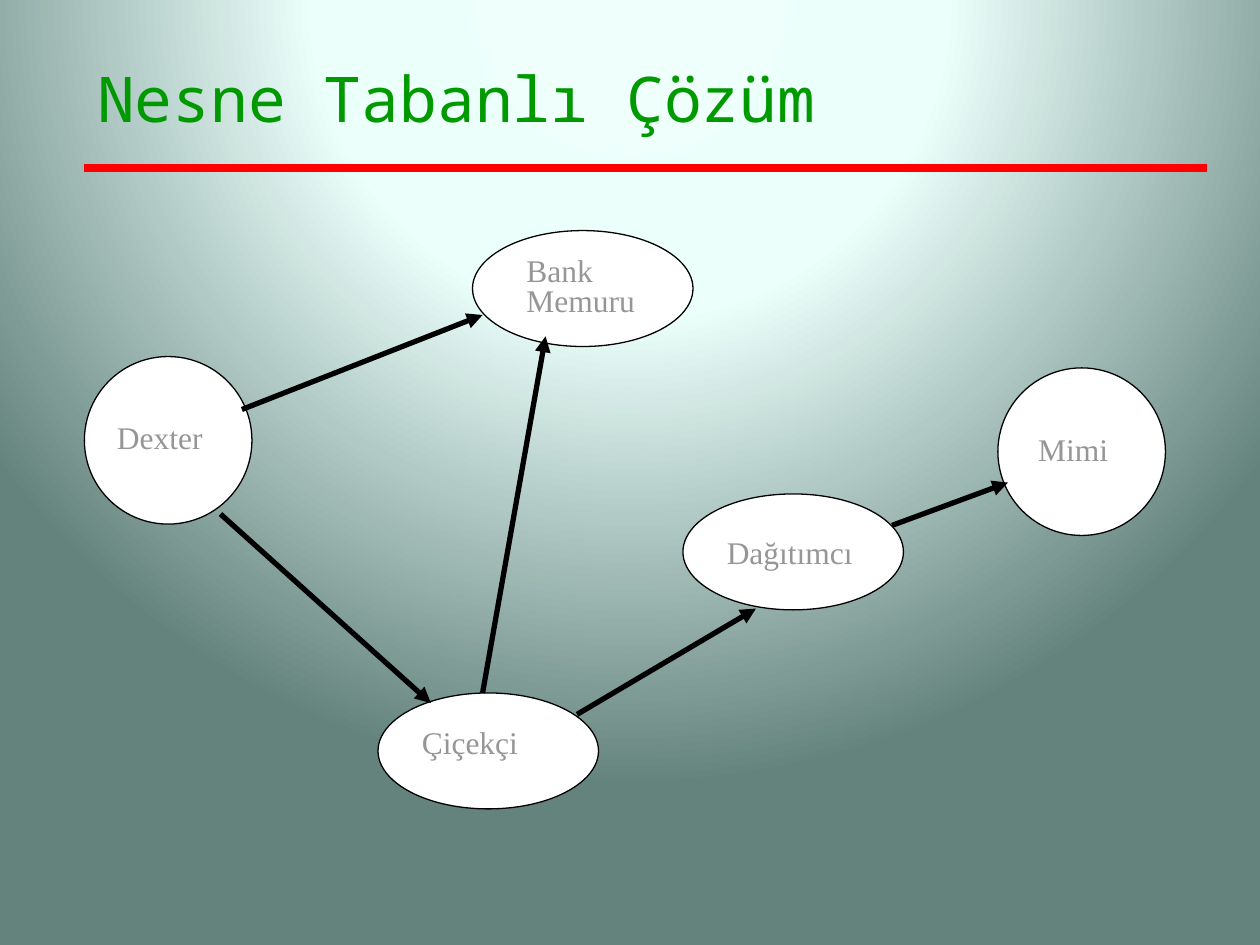
from pptx import Presentation
from pptx.dml.color import RGBColor
from pptx.enum.shapes import MSO_CONNECTOR, MSO_SHAPE
from pptx.enum.text import MSO_ANCHOR, PP_ALIGN
from pptx.oxml import parse_xml
from pptx.oxml.ns import nsdecls, qn
from pptx.util import Inches, Pt

BLACK = RGBColor(0x00, 0x00, 0x00)
WHITE = RGBColor(0xFF, 0xFF, 0xFF)
RED = RGBColor(0xFF, 0x00, 0x00)
GREEN = RGBColor(0x00, 0x99, 0x00)
GREY = RGBColor(0x96, 0x96, 0x96)
PALE = RGBColor(0xEF, 0xFF, 0xFC)
MINT = RGBColor(0xEB, 0xFF, 0xFB)
TEAL = RGBColor(0x65, 0x83, 0x7D)

ROUND = (1.33, 1.33)
OVAL = (1.75, 0.92)
NODES = [
    ("Dexter", (0.67, 2.83), ROUND, (0.83, 3.33, 1.17, 0.34), 0.1),
    ("Mimi", (7.92, 2.92), ROUND, (8.08, 3.42, 1.17, 0.34), 0.16),
    ("Bank Memuru", (3.75, 1.83), OVAL, (4.08, 2, 1.17, 0.59), 0.1),
    ("Çiçekçi", (3, 5.5), OVAL, (3.25, 5.75, 1.17, 0.34), 0.1),
    ("Dağıtımcı", (5.42, 3.92), OVAL, (5.67, 4.24, 1.5, 0.34), 0.1),
]
ARROWS = [
    ((1.92, 3.25), (3.83, 2.5)),
    ((1.75, 4.08), (3.42, 5.58)),
    ((3.83, 5.5), (4.33, 2.67)),
    ((4.58, 5.67), (6, 4.83)),
    ((7.08, 4.17), (8, 3.83)),
]


def inches(*values):
    return [Inches(value) for value in values]


def style(font, name, size, color):
    font.name = name
    font.size = Pt(size)
    font.color.rgb = color


def paint_back(slide):
    slide.background.fill.gradient()
    grad = slide.element.find(".//" + qn("a:gradFill"))
    for child in list(grad):
        grad.remove(child)
    stops = "".join(
        f'<a:gs pos="{spot * 1000}"><a:srgbClr val="{color}"/></a:gs>'
        for spot, color in [(0, PALE), (40, MINT), (100, TEAL)]
    )
    grad.append(parse_xml(f"<a:gsLst {nsdecls('a')}>{stops}</a:gsLst>"))
    grad.append(parse_xml(
        f'<a:path {nsdecls("a")} path="circle"><a:fillToRect '
        'l="50000" t="-80000" r="50000" b="180000"/></a:path>'
    ))


def set_title(slide, text):
    title = slide.shapes.title
    title.left, title.top, title.width, title.height = inches(0.67, 0.42, 8.92, 1.25)
    frame = title.text_frame
    frame.text = text
    frame.vertical_anchor = MSO_ANCHOR.TOP
    para = frame.paragraphs[0]
    para.alignment = PP_ALIGN.LEFT
    style(para.runs[0].font, "Noto Sans Mono", 36, GREEN)


def add_line(slide, start, end, color, width, arrow=False):
    line = slide.shapes.add_connector(
        MSO_CONNECTOR.STRAIGHT, *inches(*start, *end))
    line.line.color.rgb = color
    line.line.width = Pt(width)
    if arrow:
        line.line._get_or_add_ln().append(
            parse_xml(f'<a:tailEnd {nsdecls("a")} type="triangle"/>'))
    line.element.spPr.append(parse_xml(f"<a:effectLst {nsdecls('a')}/>"))


def add_node(slide, text, place, size, area, inset):
    node = slide.shapes.add_shape(MSO_SHAPE.OVAL, *inches(*place, *size))
    node.shadow.inherit = False
    node.fill.solid()
    node.fill.fore_color.rgb = WHITE
    node.line.color.rgb = BLACK
    node.line.width = Pt(0.75)

    frame = slide.shapes.add_textbox(*inches(*area)).text_frame
    frame.word_wrap = True
    frame.margin_left = Inches(inset)
    frame.text = text
    para = frame.paragraphs[0]
    para.line_spacing = 0.8
    style(para.runs[0].font, "Times New Roman", 18, GREY)


def main():
    deck = Presentation()
    deck.slide_width, deck.slide_height = inches(10, 7.5)
    slide = deck.slides.add_slide(deck.slide_layouts[5])
    paint_back(slide)
    add_line(slide, (0.67, 1.33), (9.58, 1.33), RED, 4.5)
    set_title(slide, "Nesne Tabanlı Çözüm")
    for node in NODES:
        add_node(slide, *node)
    for start, end in ARROWS:
        add_line(slide, start, end, BLACK, 3, arrow=True)
    deck.save("out.pptx")


if __name__ == "__main__":
    main()
